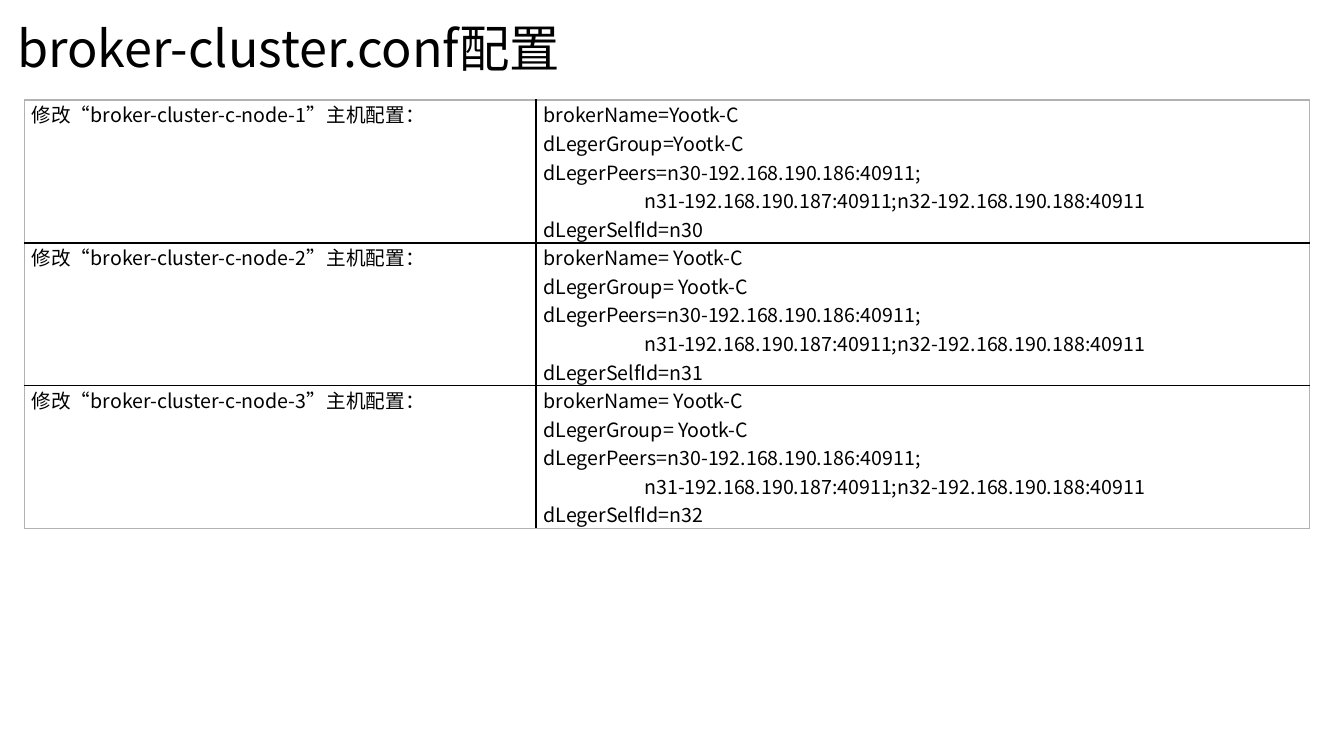
from dataclasses import dataclass

from lxml import etree
from pptx import Presentation
from pptx.dml.color import RGBColor
from pptx.enum.text import MSO_ANCHOR, MSO_AUTO_SIZE, PP_ALIGN
from pptx.oxml.ns import qn
from pptx.util import Cm, Pt

MIDDLE = MSO_ANCHOR.MIDDLE
NO_AUTOFIT = MSO_AUTO_SIZE.NONE
LEFT, JUSTIFY = PP_ALIGN.LEFT, PP_ALIGN.JUSTIFY
TITLE_ONLY = 5


@dataclass(frozen=True)
class Theme:
    font: str = "Noto Sans CJK SC"
    text: str = "000000"
    inner_line: str = "000000"
    outer_line: str = "B2B2B2"
    title_size: int = 36
    body_size: int = 14
    line_width: int = 1


THEME = Theme()

# Node number, self id and the gap after "=" in the name lines
NODES = [(1, "n30", ""), (2, "n31", " "), (3, "n32", " ")]


def node_config(self_id, gap):
    return [
        f"brokerName={gap}Yootk-C",
        f"dLegerGroup={gap}Yootk-C",
        "dLegerPeers=n30-192.168.190.186:40911;",
        "\t\tn31-192.168.190.187:40911;n32-192.168.190.188:40911",
        f"dLegerSelfId={self_id}",
    ]


def style_paragraph(p, size, align):
    p.alignment = align
    font = p.font
    font.size = Pt(size)
    font.bold = False
    font.color.rgb = RGBColor.from_string(THEME.text)
    font.name = THEME.font
    latin = p._p.pPr.find(qn("a:defRPr")).find(qn("a:latin"))
    ea = etree.Element(qn("a:ea"), typeface=THEME.font)
    latin.addnext(ea)


def set_border(cell, side, color):
    tc_pr = cell._tc.get_or_add_tcPr()
    ln = etree.SubElement(tc_pr, qn(f"a:ln{side}"), w=str(Pt(THEME.line_width)))
    fill = etree.SubElement(ln, qn("a:solidFill"))
    etree.SubElement(fill, qn("a:srgbClr"), val=color)


def fill_cell(cell, lines, outer_sides):
    cell.margin_left = cell.margin_right = Cm(0.19)
    cell.margin_top = cell.margin_bottom = 0
    for side in "LRTB":
        outer = side in outer_sides
        set_border(cell, side, THEME.outer_line if outer else THEME.inner_line)
    cell.fill.background()
    tf = cell.text_frame
    tf.text = "\n".join(lines)
    for p in tf.paragraphs:
        style_paragraph(p, THEME.body_size, JUSTIFY)


def add_title(slide, text, left, top, width, height):
    sp = slide.shapes.title
    sp.left, sp.top, sp.width, sp.height = left, top, width, height
    tf = sp.text_frame
    tf.text = text
    tf.word_wrap = True
    tf.auto_size = NO_AUTOFIT
    tf.vertical_anchor = MIDDLE
    p = tf.paragraphs[0]
    style_paragraph(p, THEME.title_size, LEFT)
    p.line_spacing = 0.9


def add_node_table(slide, left, top, width, height):
    table = slide.shapes.add_table(len(NODES), 2, left, top, width, height).table
    table.first_row = table.horz_banding = False
    table.columns[0].width = Cm(12.9)
    table.columns[1].width = width - Cm(12.9)
    for i, (number, self_id, gap) in enumerate(NODES):
        table.rows[i].height = height // len(NODES)
        edges = ("T" if i == 0 else "") + ("B" if i == len(NODES) - 1 else "")
        heading = f"修改“broker-cluster-c-node-{number}”主机配置："
        fill_cell(table.cell(i, 0), [heading], edges + "L")
        fill_cell(table.cell(i, 1), node_config(self_id, gap), edges + "R")


def main():
    prs = Presentation()
    prs.slide_width, prs.slide_height = Cm(33.87), Cm(19.05)
    slide = prs.slides.add_slide(prs.slide_layouts[TITLE_ONLY])

    # Title
    add_title(slide, "broker-cluster.conf配置", Cm(0.18), Cm(0.2), Cm(33.4), Cm(2.16))

    # Configuration of each node
    add_node_table(slide, Cm(0.61), Cm(2.52), Cm(32.39), Cm(10.2))

    prs.save("out.pptx")


if __name__ == "__main__":
    main()
